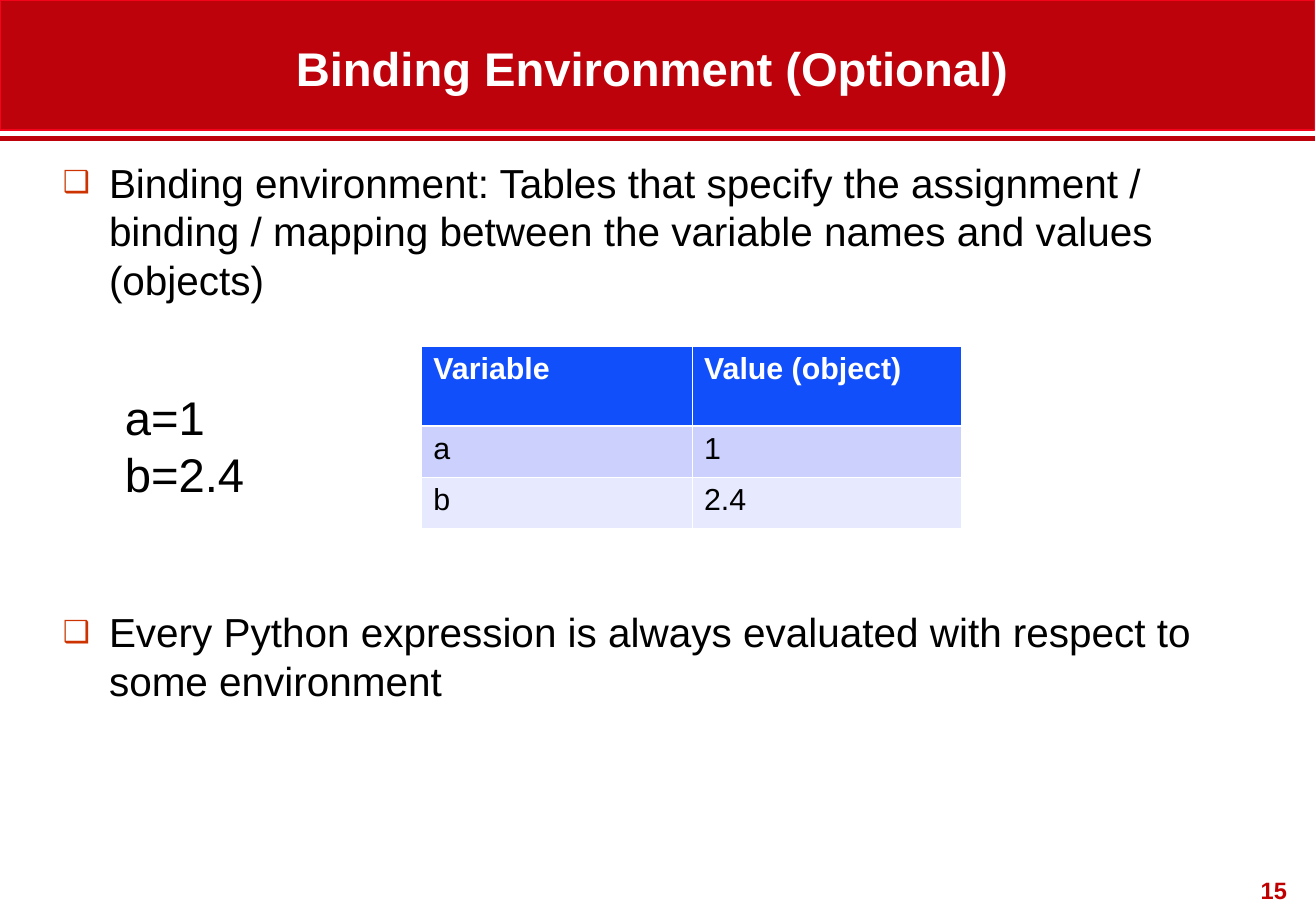
from dataclasses import dataclass

from lxml import etree
from pptx import Presentation
from pptx.dml.color import RGBColor
from pptx.enum.shapes import MSO_CONNECTOR, MSO_SHAPE
from pptx.enum.text import MSO_ANCHOR, MSO_AUTO_SIZE, PP_ALIGN
from pptx.oxml.ns import qn
from pptx.util import Emu, Pt

RECTANGLE = MSO_SHAPE.RECTANGLE
STRAIGHT = MSO_CONNECTOR.STRAIGHT
LEFT, CENTER, RIGHT = PP_ALIGN.LEFT, PP_ALIGN.CENTER, PP_ALIGN.RIGHT
TOP, BOTTOM = MSO_ANCHOR.TOP, MSO_ANCHOR.BOTTOM
NO_AUTOFIT = MSO_AUTO_SIZE.NONE

EMU_PER_PX = 9144
SLIDE_WIDTH, SLIDE_HEIGHT = 1084, 750
BANNER_WIDTH, BANNER_HEIGHT, RULE_Y = 1083, 107, 114
TITLE_ONLY = 5
FONT = "Arial"
RED, BLACK, WHITE = "BE020B", "000000", "FFFFFF"
BULLET_INDENT = 38


@dataclass(frozen=True)
class Box:
    left: int
    top: int
    width: int
    height: int

    def emu(self) -> list[Emu]:
        return [px(side) for side in (self.left, self.top, self.width, self.height)]


@dataclass(frozen=True)
class Style:
    size: int
    color: str = BLACK
    bold: bool = False
    align: PP_ALIGN = LEFT


@dataclass(frozen=True)
class Line:
    text: str
    space_before: int = 0
    bullet: bool = False


@dataclass(frozen=True)
class TextBlock:
    box: Box
    style: Style
    lines: tuple[Line, ...]
    wrap: bool = True


@dataclass(frozen=True)
class TableRow:
    cells: tuple[str, ...]
    height: int
    fill: str
    style: Style
    top_border: float
    bottom_border: float


TITLE = TextBlock(
    Box(29, 18, 1016, 66),
    Style(28, WHITE, True, CENTER),
    (Line("Binding Environment (Optional)"),),
)
TEXT_BLOCKS = (
    TextBlock(
        Box(42, 125, 1000, 580),
        Style(24),
        (
            Line(
                "Binding environment: Tables that specify the assignment / binding / "
                "mapping between the variable names and values (objects)",
                bullet=True,
            ),
            Line(
                "Every Python expression is always evaluated with respect to "
                "some environment",
                space_before=180,
                bullet=True,
            ),
        ),
    ),
    TextBlock(Box(93, 315, 118, 150), Style(28), (Line("a=1"), Line("b=2.4")), False),
    TextBlock(Box(1022, 716, 48, 33), Style(14, "C00000", True, RIGHT), (Line("15"),)),
)

TABLE_BOX = Box(347, 285, 445, 150)
COLUMN_WIDTHS = (223, 222)
THIN, THICK = 0.45, 1.47
HEADER_STYLE = Style(18, WHITE, True)
VALUE_STYLE = Style(18)
TABLE_ROWS = (
    TableRow(("Variable", "Value (object)"), 66, "114FFB", HEADER_STYLE, THIN, THICK),
    TableRow(("a", "1"), 42, "CCD0FD", VALUE_STYLE, THICK, THIN),
    TableRow(("b", "2.4"), 42, "E7E9FE", VALUE_STYLE, THIN, THIN),
)


def px(length: int) -> Emu:
    return Emu(length * EMU_PER_PX)


def rgb(color: str) -> RGBColor:
    return RGBColor.from_string(color)


def add_bullet(paragraph) -> None:
    properties = paragraph._p.get_or_add_pPr()
    properties.set("marL", str(px(BULLET_INDENT)))
    properties.set("indent", str(-px(BULLET_INDENT)))
    color = etree.SubElement(properties, qn("a:buClr"))
    etree.SubElement(color, qn("a:srgbClr"), val="CC3300")
    etree.SubElement(properties, qn("a:buSzPct"), val="75000")
    etree.SubElement(properties, qn("a:buFont"), typeface=FONT)
    etree.SubElement(properties, qn("a:buChar"), char="❑")


def write_line(paragraph, line: Line, style: Style) -> None:
    if line.bullet:
        add_bullet(paragraph)
    paragraph.alignment = style.align
    paragraph.space_before = Pt(line.space_before)
    run = paragraph.add_run()
    run.text = line.text
    run.font.name = FONT
    run.font.size = Pt(style.size)
    run.font.bold = style.bold
    run.font.color.rgb = rgb(style.color)


def write_block(frame, block: TextBlock, anchor: MSO_ANCHOR) -> None:
    frame.word_wrap = block.wrap
    frame.auto_size = NO_AUTOFIT
    frame.vertical_anchor = anchor
    for index, line in enumerate(block.lines):
        paragraph = frame.add_paragraph() if index else frame.paragraphs[0]
        write_line(paragraph, line, block.style)


def add_header(slide) -> None:
    banner_box = Box(0, 0, BANNER_WIDTH, BANNER_HEIGHT)
    banner = slide.shapes.add_shape(RECTANGLE, *banner_box.emu())
    banner.shadow.inherit = False
    banner.fill.solid()
    banner.fill.fore_color.rgb = rgb(RED)
    banner.line.color.rgb = rgb("F4041B")
    banner.line.width = Pt(1)

    rule = slide.shapes.add_connector(
        STRAIGHT, 0, px(RULE_Y), px(BANNER_WIDTH), px(RULE_Y)
    )
    rule.line.color.rgb = rgb(RED)
    rule.line.width = Pt(3)
    etree.SubElement(rule.element.spPr, qn("a:effectLst"))

    title = slide.shapes.title
    title.left, title.top, title.width, title.height = TITLE.box.emu()
    write_block(title.text_frame, TITLE, BOTTOM)
    rule.element.addnext(title.element)


def set_borders(cell, row: TableRow) -> None:
    widths = {"lnL": THIN, "lnR": THIN, "lnT": row.top_border, "lnB": row.bottom_border}
    properties = cell._tc.get_or_add_tcPr()
    for index, (side, width) in enumerate(widths.items()):
        border = etree.Element(qn(f"a:{side}"), w=str(Pt(width)))
        fill = etree.SubElement(border, qn("a:solidFill"))
        etree.SubElement(fill, qn("a:srgbClr"), val=WHITE)
        properties.insert(index, border)


def add_binding_table(slide) -> None:
    table = slide.shapes.add_table(
        len(TABLE_ROWS), len(COLUMN_WIDTHS), *TABLE_BOX.emu()
    ).table
    for column, width in zip(table.columns, COLUMN_WIDTHS):
        column.width = px(width)
    for row_index, row in enumerate(TABLE_ROWS):
        table.rows[row_index].height = px(row.height)
        for column_index, text in enumerate(row.cells):
            cell = table.cell(row_index, column_index)
            cell.fill.solid()
            cell.fill.fore_color.rgb = rgb(row.fill)
            set_borders(cell, row)
            write_line(cell.text_frame.paragraphs[0], Line(text), row.style)


def main() -> None:
    presentation = Presentation()
    presentation.slide_width = px(SLIDE_WIDTH)
    presentation.slide_height = px(SLIDE_HEIGHT)
    slide = presentation.slides.add_slide(presentation.slide_layouts[TITLE_ONLY])
    add_header(slide)
    for block in TEXT_BLOCKS:
        text_box = slide.shapes.add_textbox(*block.box.emu())
        write_block(text_box.text_frame, block, TOP)
    add_binding_table(slide)
    presentation.save("out.pptx")


if __name__ == "__main__":
    main()
